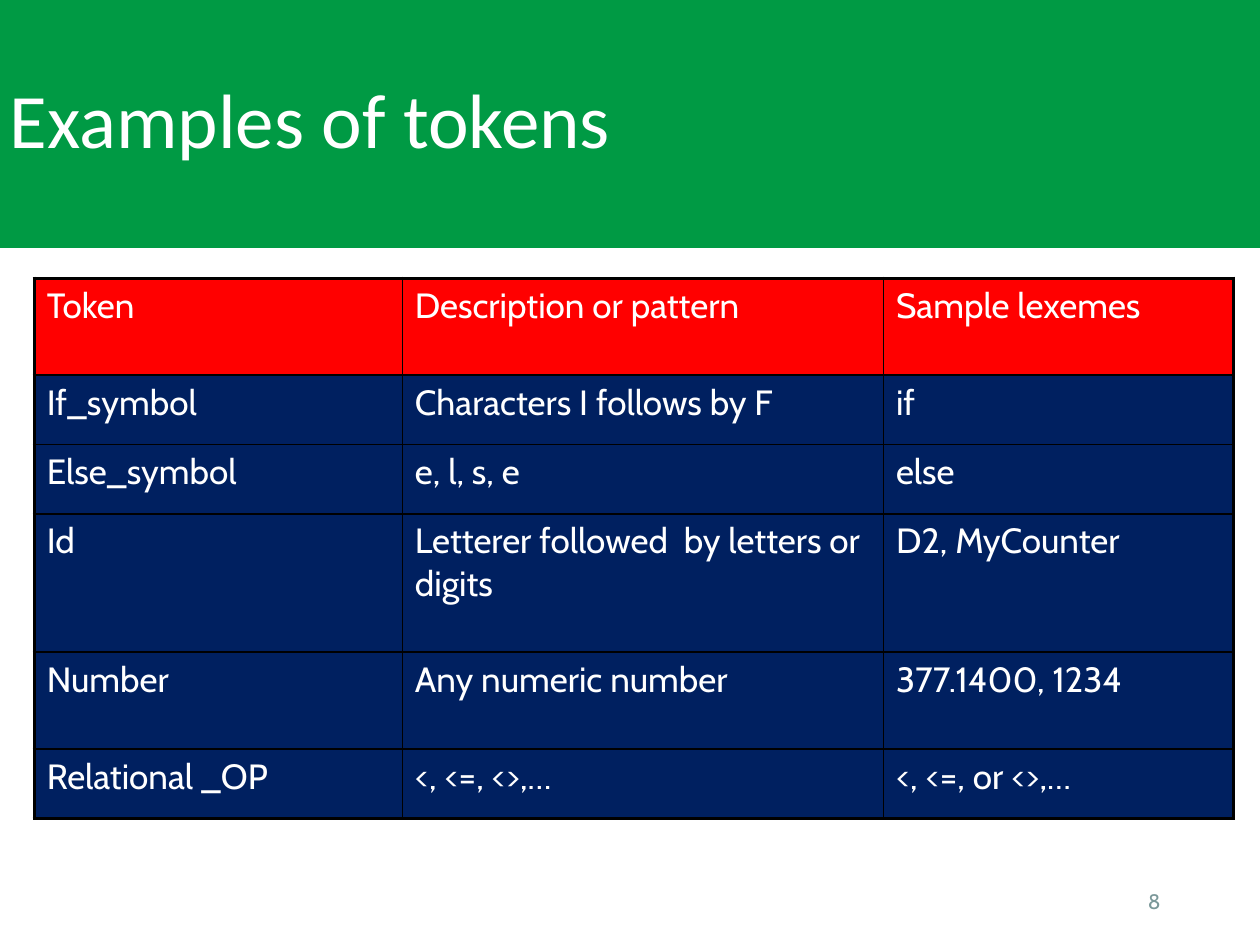
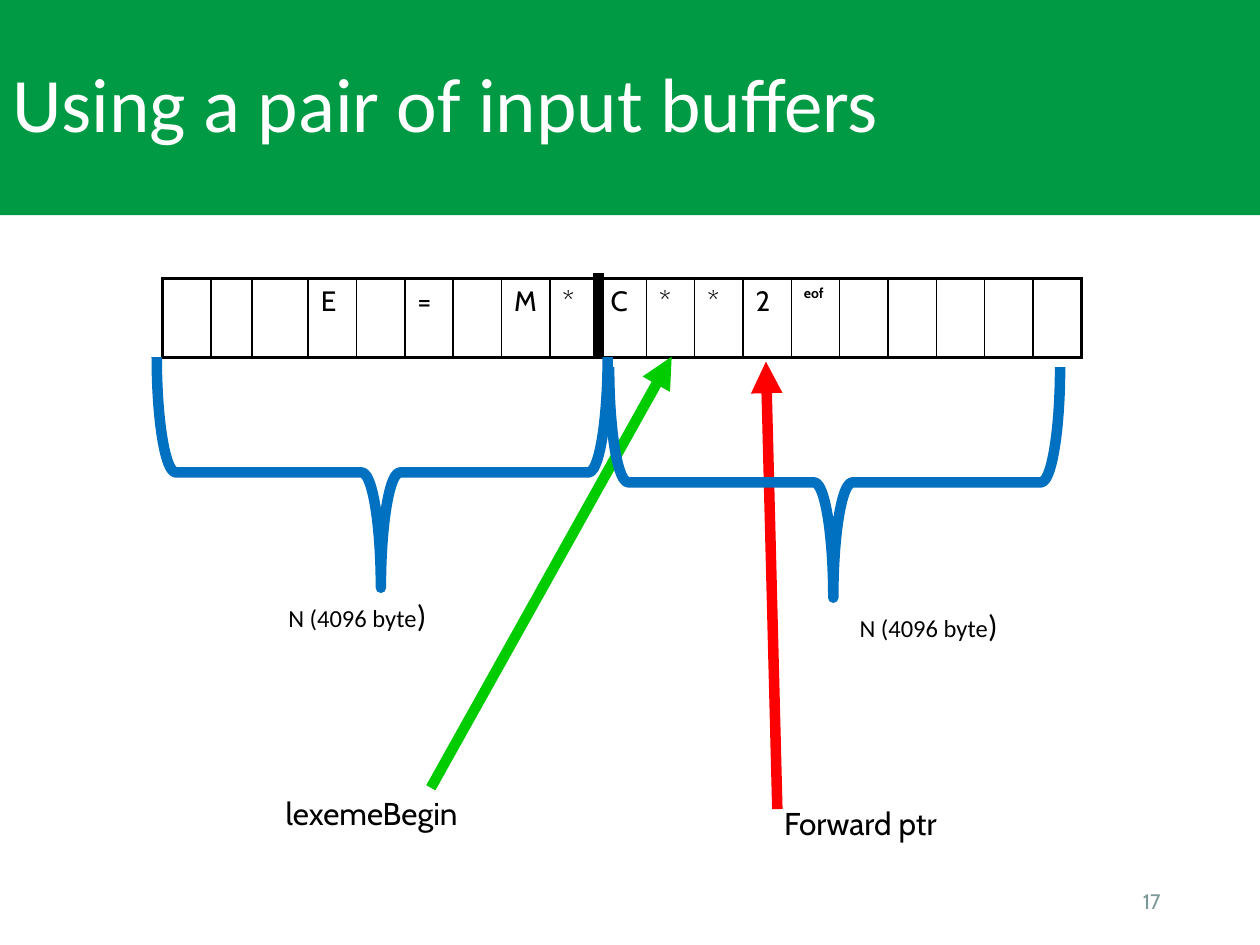
import lxml.etree
import pptx
import pptx.dml.color
import pptx.enum.shapes
import pptx.enum.text
import pptx.oxml.ns
import pptx.util

Cm = pptx.util.Cm
Pt = pptx.util.Pt
qn = pptx.oxml.ns.qn
SHAPE = pptx.enum.shapes.MSO_SHAPE
ALIGN = pptx.enum.text.PP_ALIGN
ANCHOR = pptx.enum.text.MSO_ANCHOR

COLORS = {
    "band": "009A44",
    "white": "FFFFFF",
    "black": "000000",
    "header": "FF0000",
    "body": "002060",
    "number": "7B9899",
    "begin": "00CC00",
    "forward": "FF0000",
    "brace": "0070C0",
}
HEADING_FONT = "Calibri"
BODY_FONT = "Cabin"
OUTER_BORDER, INNER_BORDER = 2.25, 1


def rgb(name):
    return pptx.dml.color.RGBColor.from_string(COLORS[name])


class Deck:
    """Holds the presentation, its style and the current slide."""

    def __init__(self):
        self.prs = pptx.Presentation()
        self.prs.slide_width, self.prs.slide_height = Cm(25.4), Cm(19.05)
        self.s = None

    def slide(self, title, number, band):
        """Start a slide with its title band (left, width, height) and number."""
        self.s = self.prs.slides.add_slide(self.prs.slide_layouts[6])
        left, width, height = band
        sp = self.shape(SHAPE.RECTANGLE, (left, 0, width, height), fill="band")
        p = self.text(sp, [(title, 44)], HEADING_FONT, "white", anchor=ANCHOR.MIDDLE)
        p.line_spacing = 0.9
        self.label((17.93, 17.65, 5.72, 1.02), str(number), 12, "number",
                   ALIGN.RIGHT, ANCHOR.MIDDLE)

    def text(self, holder, runs, font=BODY_FONT, color="black",
             align=ALIGN.LEFT, anchor=ANCHOR.TOP, bold=False):
        """Write (text, size) runs as the paragraph of a shape or cell."""
        tf = holder.text_frame
        tf.word_wrap = True
        holder_anchor = holder if hasattr(holder, "margin_left") else tf
        holder_anchor.vertical_anchor = anchor
        p = tf.paragraphs[0]
        p.alignment = align
        for text, size in runs:
            r = p.add_run()
            r.text = text
            r.font.size = Pt(size)
            r.font.name = font
            r.font.bold = bold
            r.font.color.rgb = rgb(color)
        return p

    def label(self, box, text, size, color="black", align=ALIGN.LEFT, anchor=ANCHOR.TOP):
        sp = self.s.shapes.add_textbox(*map(Cm, box))
        self.text(sp, [(text, size)], color=color, align=align, anchor=anchor)
        return sp

    def shape(self, kind, box, fill=None, line=None, width=1):
        sp = self.s.shapes.add_shape(kind, *map(Cm, box))
        sp.shadow.inherit = False
        if fill:
            sp.fill.solid()
            sp.fill.fore_color.rgb = rgb(fill)
        else:
            sp.fill.background()
        if line:
            sp.line.color.rgb = rgb(line)
            sp.line.width = Pt(width)
        else:
            sp.line.fill.background()
        return sp

    def buffer_half(self, brace_left, brace_top, size_box):
        """Mark one half of the buffer with a downward brace and its size."""
        sp = self.shape(SHAPE.RECTANGLE, size_box, fill="white", line="white")
        self.text(sp, [("N (4096 byte", 14), (")", 18)], HEADING_FONT,
                  align=ALIGN.CENTER, anchor=ANCHOR.MIDDLE)
        brace = self.shape(SHAPE.RIGHT_BRACE, (brace_left, brace_top, 4.65, 9.09),
                           line="brace", width=6)
        brace.rotation = 90
        brace.adjustments[0], brace.adjustments[1] = 0.083, 0.503

    def line(self, start, end, color, arrow=False, source=None):
        """Draw a thick line, joined to the top of source if one is given."""
        cn = self.s.shapes.add_connector(
            pptx.enum.shapes.MSO_CONNECTOR.STRAIGHT, *map(Cm, start + end))
        cn.line.color.rgb = rgb(color)
        cn.line.width = Pt(6)
        if source is not None:
            cn.begin_connect(source, 0)
        spPr = cn._element.spPr
        if arrow:
            lxml.etree.SubElement(spPr.find(qn("a:ln")), qn("a:tailEnd"), type="triangle")
        lxml.etree.SubElement(spPr, qn("a:effectLst"))

    def table(self, left, top, cols, rows):
        """Add a plain table with the given column widths and row heights."""
        frame = self.s.shapes.add_table(len(rows), len(cols), Cm(left), Cm(top),
                                        Cm(sum(cols)), Cm(sum(rows)))
        table = frame.table
        table.first_row = table.horz_banding = False
        for column, width in zip(table.columns, cols):
            column.width = Cm(width)
        for row, height in zip(table.rows, rows):
            row.height = Cm(height)
        for i in range(len(rows)):
            for j in range(len(cols)):
                self.borders(table.cell(i, j), {
                    "a:lnL": j == 0,
                    "a:lnR": j == len(cols) - 1,
                    "a:lnT": i == 0,
                    "a:lnB": i == len(rows) - 1,
                })
        return table

    def borders(self, cell, sides):
        """Draw each side, thicker where it lies on the table's edge."""
        tcPr = cell._tc.get_or_add_tcPr()
        for tag, on_edge in sides.items():
            width = Pt(OUTER_BORDER if on_edge else INNER_BORDER)
            ln = lxml.etree.SubElement(tcPr, qn(tag), w=str(int(width)))
            fill = lxml.etree.SubElement(ln, qn("a:solidFill"))
            lxml.etree.SubElement(fill, qn("a:srgbClr"), val=COLORS["black"])


def tokens_slide(deck):
    deck.slide("Examples of tokens", 8, (-0.05, 25.45, 5))
    tokens = [
        ("Token", "Description or pattern", "Sample lexemes"),
        ("If_symbol", "Characters I follows by F", "if"),
        ("Else_symbol", "e, l, s, e", "else"),
        ("Id", "Letterer followed  by letters or digits", "D2, MyCounter"),
        ("Number", "Any numeric number", "377.1400, 1234"),
        ("Relational _OP", "<, <=, <>,…", "<, <=, or <>,…"),
    ]
    table = deck.table(0.69, 5.61, [7.42, 9.7, 7.06], [1.95, 1.4, 1.4, 2.79, 1.95, 1.4])
    for i, values in enumerate(tokens):
        for j, value in enumerate(values):
            cell = table.cell(i, j)
            cell.fill.solid()
            cell.fill.fore_color.rgb = rgb("body" if i else "header")
            deck.text(cell, [(value, 20)], color="white")


def buffers_slide(deck):
    deck.slide("Using a pair of input buffers", 17, (0, 25.4, 4.34))
    symbols = ["", "", "", "E", "", "=", "", "M", "*", "C", "*", "*", "2", "eof"] + [""] * 5
    total, second, third = 18.52, 0.83, 1.13
    cols = [(total - second - third) / (len(symbols) - 2)] * len(symbols)
    cols[1:3] = second, third
    table = deck.table(3.28, 5.61, cols, [1.6])
    for j, symbol in enumerate(symbols):
        cell = table.cell(0, j)
        cell.fill.background()
        if symbol:
            is_end = symbol == "eof"
            deck.text(cell, [(symbol, 8 if is_end else 16)], bold=is_end)

    begin = deck.label((5.51, 15.88, 6.35, 1.02), "lexemeBegin", 18)
    deck.label((14.17, 16.08, 6.35, 1.02), "Forward ptr", 18, align=ALIGN.CENTER)
    deck.line((8.69, 15.88), (13.54, 7.19), "begin", arrow=True, source=begin)
    deck.line((15.67, 16.31), (15.44, 7.29), "forward", arrow=True)
    deck.line((12.07, 5.51), (12.07, 7.19), "black")
    deck.buffer_half(5.38, 4.98, (4.45, 11.86, 5.51, 1.07))
    deck.buffer_half(14.5, 5.18, (16.08, 12.07, 5.28, 1.07))


def main():
    deck = Deck()
    tokens_slide(deck)
    buffers_slide(deck)
    deck.prs.save("out.pptx")


if __name__ == "__main__":
    main()
